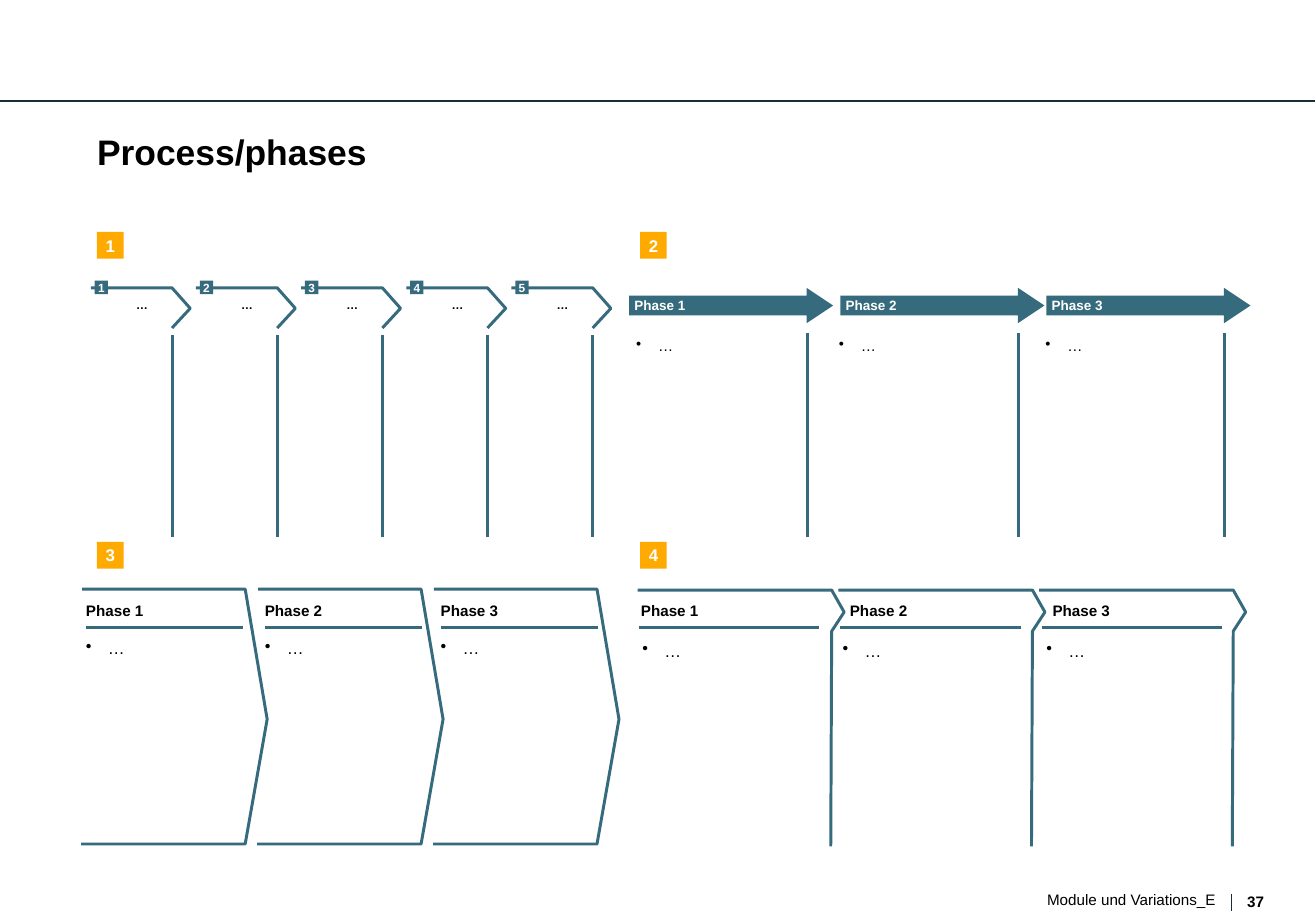
from lxml import etree
from pptx import Presentation
from pptx.dml.color import RGBColor
from pptx.enum.shapes import MSO_CONNECTOR, MSO_SHAPE
from pptx.enum.text import MSO_ANCHOR, MSO_AUTO_SIZE, PP_ALIGN
from pptx.oxml.ns import qn
from pptx.util import Cm, Pt

# Content
TITLE = "Process/phases"
FOOTER, PAGE = "Module und Variations_E", "37"
PHASES = ["Phase 1", "Phase 2", "Phase 3"]
STEPS = ["1", "2", "3", "4", "5"]
DOTS = "…"

TEAL, ORANGE, DARK = "366B7E", "FFAA00", "172F37"
BLACK, WHITE = "000000", "FFFFFF"

# Layout in cm
BADGES = [("1", 2.03, 4.85), ("2", 13.39, 4.85), ("3", 2.03, 11.33), ("4", 13.39, 11.33)]
STEP_LEFT, STEP_PITCH, STEP_TOP = 1.9, 2.2, 6.02
STEP_OUTLINE = [(0, 0), (1.7, 0), (2.08, 0.43), (1.7, 0.84)]
ARROWS = [(13.16, 13.31), (17.58, 17.55), (21.89, 21.87)]  # arrow left, bullet left
# Each outlined panel: its outline, then the left edges of label, rule and bullet
PANELS = [
    dict(left=1.7, top=12.32, pitch=3.68, width=3.28, bullet_top=13.34,
         outline=[(0.02, 0), (3.43, 0), (3.89, 2.72), (3.43, 5.33), (0, 5.33)],
         columns=[(1.8, 1.8, 1.8), (5.54, 5.54, 5.54), (9.22, 9.22, 9.22)]),
    dict(left=13.34, top=12.34, pitch=4.2, width=3.78, bullet_top=13.39,
         outline=[(0, 0), (4.06, 0), (4.32, 0.46), (4.06, 0.86), (4.04, 5.36)],
         columns=[(13.41, 13.36, 13.44), (17.78, 17.58, 17.63), (22.02, 21.79, 21.89)]),
]
LABEL_TOP, RULE_Y = 12.57, 13.13

prs = Presentation()
prs.slide_width, prs.slide_height = Cm(27.53), Cm(19.05)
s = prs.slides.add_slide(prs.slide_layouts[5])


def rgb(value):
    return RGBColor.from_string(value)


def write(shape, text, size, color=BLACK, bold=False, align=PP_ALIGN.LEFT,
          anchor=MSO_ANCHOR.TOP, bullet=False):
    tf = shape.text_frame
    tf.text = text
    tf.word_wrap = True
    tf.auto_size = MSO_AUTO_SIZE.NONE
    tf.vertical_anchor = anchor
    tf.margin_left = tf.margin_right = tf.margin_top = tf.margin_bottom = 0
    p = tf.paragraphs[0]
    p.alignment = align
    if bullet:
        pPr = p._p.get_or_add_pPr()
        pPr.set("marL", str(Cm(0.46)))
        pPr.set("indent", str(-Cm(0.46)))
        etree.SubElement(pPr, qn("a:buChar")).set("char", "•")
    f = p.runs[0].font
    f.name, f.size, f.bold = "Arial", Pt(size), bold
    f.color.rgb = rgb(color)
    return p


def add_text(text, x, y, w, h, size, **style):
    return write(s.shapes.add_textbox(Cm(x), Cm(y), Cm(w), Cm(h)), text, size, **style)


def add_filled(kind, x, y, w, h, color):
    shape = s.shapes.add_shape(kind, Cm(x), Cm(y), Cm(w), Cm(h))
    shape.shadow.inherit = False
    shape.fill.solid()
    shape.fill.fore_color.rgb = rgb(color)
    shape.line.fill.background()
    return shape


def add_badge(text, x, y, side, size, color):
    write(add_filled(MSO_SHAPE.RECTANGLE, x, y, side, side, color), text, size,
          color=WHITE, bold=True, align=PP_ALIGN.CENTER, anchor=MSO_ANCHOR.MIDDLE)


def add_line(x1, y1, x2, y2, color=TEAL, width=1.75):
    line = s.shapes.add_connector(MSO_CONNECTOR.STRAIGHT, Cm(x1), Cm(y1), Cm(x2), Cm(y2))
    line.line.color.rgb = rgb(color)
    line.line.width = Pt(width)
    etree.SubElement(line._element.spPr, qn("a:effectLst"))


def add_outline(points, x, y):
    corners = [(Cm(x + dx), Cm(y + dy)) for dx, dy in points]
    builder = s.shapes.build_freeform(*corners[0])
    builder.add_line_segments(corners[1:], close=False)
    shape = builder.convert_to_shape()
    shape.shadow.inherit = False
    shape.fill.background()
    shape.line.color.rgb = rgb(TEAL)
    shape.line.width = Pt(1.75)


# Title, header line and footer
title = s.shapes.title
title.left, title.top, title.width, title.height = Cm(2.03), Cm(2.79), Cm(23.77), Cm(1.83)
write(title, TITLE, 21, bold=True).line_spacing = 0.93
add_line(0, 2.11, 27.51, 2.11, DARK, 0.75)
add_line(25.76, 18.69, 25.76, 19.05, DARK, 0.75)
add_text(FOOTER, 15.8, 18.62, 9.63, 0.38, 9, align=PP_ALIGN.RIGHT).line_spacing = Pt(11)
add_text(PAGE, 26.09, 18.67, 0.43, 0.36, 9, bold=True)

# Variant numbers
for number, x, y in BADGES:
    add_badge(number, x, y, 0.56, 10, ORANGE)

# Variant 1: five numbered steps
for i, step in enumerate(STEPS):
    x = STEP_LEFT + i * STEP_PITCH
    add_outline(STEP_OUTLINE, x, STEP_TOP)
    add_badge(step, x + 0.08, STEP_TOP - 0.15, 0.28, 7, TEAL)
    add_text(DOTS, x + 0.13, 6.22, 1.88, 0.3, 7, bold=True,
             align=PP_ALIGN.CENTER, anchor=MSO_ANCHOR.MIDDLE)
    add_line(x + 1.7, 7.01, x + 1.7, 11.23)

# Variant 2: solid arrows
for phase, (x, bullet_x) in zip(PHASES, ARROWS):
    arrow = add_filled(MSO_SHAPE.RIGHT_ARROW, x, STEP_TOP, 4.27, 0.74, TEAL)
    arrow.adjustments[0], arrow.adjustments[1] = 0.56, 0.75
    add_text(phase, x + 0.11, 6.22, 3.86, 0.33, 8, color=WHITE, bold=True,
             anchor=MSO_ANCHOR.MIDDLE)
    add_text(DOTS, bullet_x, 7.04, 3.94, 0.38, 9, bullet=True)
    add_line(x + 3.73, 6.96, x + 3.73, 11.23)

# Variants 3 and 4: outlined panels
for panel in PANELS:
    width = panel["width"]
    for i, (phase, column) in enumerate(zip(PHASES, panel["columns"])):
        label_x, rule_x, bullet_x = column
        add_outline(panel["outline"], panel["left"] + i * panel["pitch"], panel["top"])
        add_text(phase, label_x, LABEL_TOP, width, 0.38, 9, bold=True,
                 anchor=MSO_ANCHOR.MIDDLE)
        add_line(rule_x, RULE_Y, rule_x + width, RULE_Y)
        add_text(DOTS, bullet_x, panel["bullet_top"], width, 0.43, 10, bullet=True)

prs.save("out.pptx")
